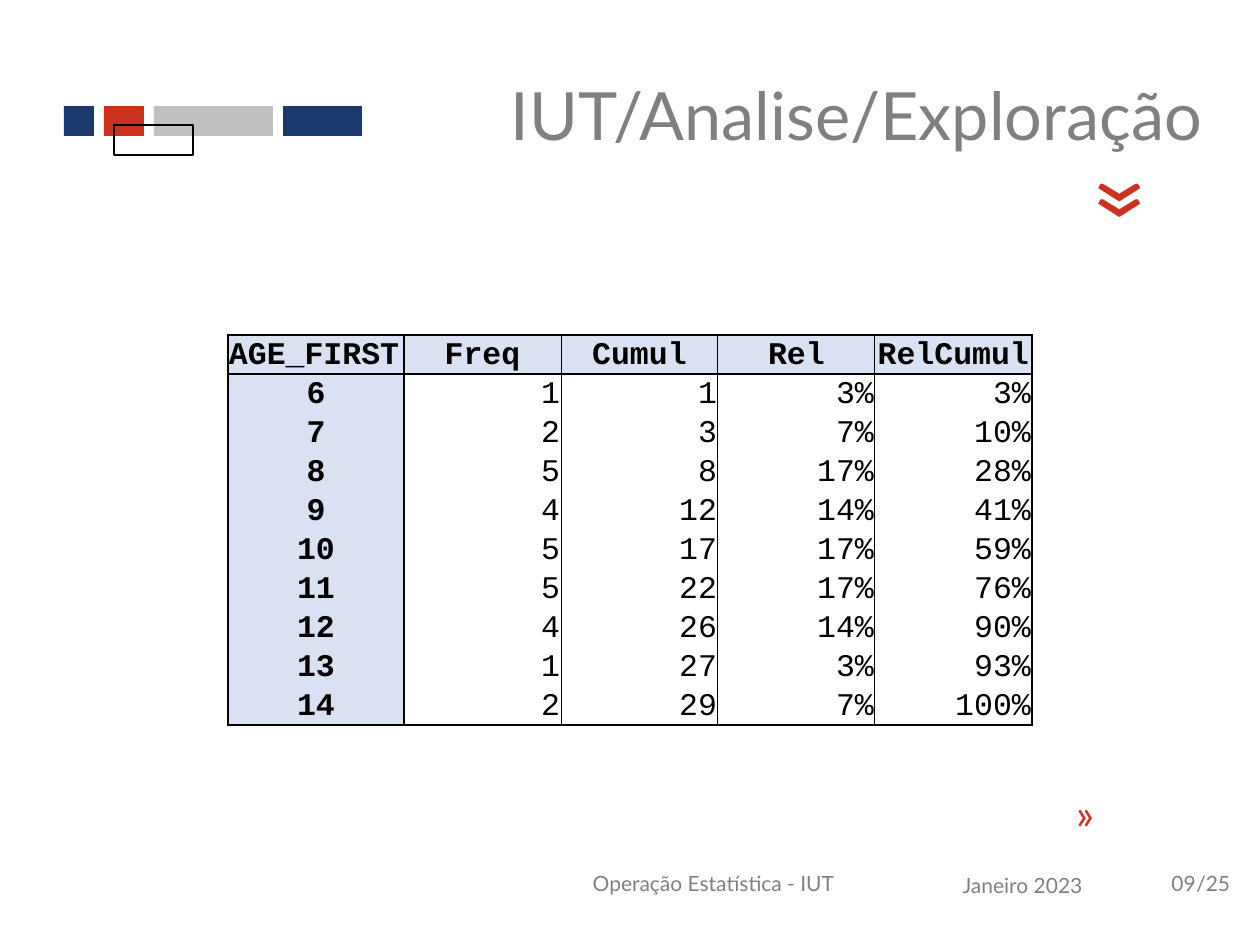
"""Build the frequency table slide of the IUT analysis."""
from lxml import etree
from pptx import Presentation
from pptx.dml.color import RGBColor
from pptx.enum.shapes import MSO_SHAPE
from pptx.enum.text import MSO_ANCHOR, PP_ALIGN
from pptx.oxml.ns import qn
from pptx.util import Pt

RECT = MSO_SHAPE.RECTANGLE
MIDDLE, BOTTOM = MSO_ANCHOR.MIDDLE, MSO_ANCHOR.BOTTOM
LEFT, CENTER, RIGHT = PP_ALIGN.LEFT, PP_ALIGN.CENTER, PP_ALIGN.RIGHT
SCALE = 914400 / 126
GREY, RED, NAVY, BLACK = "808080", "CC301F", "1A3A6E", "000000"


def px(*lengths):
    return [round(n * SCALE) for n in lengths]


def write(tf, text, size, color, align, font="Lato", bold=False):
    p = tf.paragraphs[0]
    p.alignment = align
    r = p.add_run()
    r.text = text
    r.font.name, r.font.size, r.font.bold = font, Pt(size), bold
    r.font.color.rgb = RGBColor.from_string(color)


prs = Presentation()
prs.slide_width, prs.slide_height = px(1260, 945)
slide = prs.slides.add_slide(prs.slide_layouts[5])

for x, y, w, color in [(64, 106, 30, NAVY), (104, 106, 40, RED),
                       (154, 106, 119, "C0C0C0"), (283, 106, 79, NAVY),
                       (114, 125, 79, None)]:
    sp = slide.shapes.add_shape(RECT, *px(x, y, w, 30))
    sp.shadow.inherit = False
    if color:
        sp.fill.solid()
        sp.fill.fore_color.rgb = RGBColor.from_string(color)
        sp.line.fill.background()
    else:
        sp.fill.background()
        sp.line.color.rgb = RGBColor.from_string(BLACK)
        sp.line.width = Pt(0.75)

title = slide.shapes.title
title.left, title.top, title.width, title.height = px(382, 55, 833, 117)
title.text_frame.vertical_anchor = MIDDLE
write(title.text_frame, "IUT/Analise/Exploração", 38, GREY, RIGHT)

for text, x, y, w, align in [("Operação Estatística - IUT", 520, 849, 387, CENTER),
                             ("Janeiro 2023", 907, 851, 231, CENTER),
                             ("09", 1159, 849, 55, LEFT),
                             ("/25", 1184, 849, 76, LEFT)]:
    tf = slide.shapes.add_textbox(*px(x, y, w, 69)).text_frame
    tf.word_wrap = True
    tf.vertical_anchor = MIDDLE
    write(tf, text, 12, GREY, align)

for x, y, w, h, size, rotation in [(1071, 130, 69, 139, 60, 270),
                                   (1053, 793, 64, 63, 24, 180)]:
    sp = slide.shapes.add_textbox(*px(x, y, w, h))
    sp.rotation = rotation
    tf = sp.text_frame
    tf.word_wrap = True
    tf.vertical_anchor = MIDDLE
    tf.margin_left = tf.margin_right = tf.margin_top = tf.margin_bottom = 0
    write(tf, "«", size, RED, CENTER)

rows = [
    ("AGE_FIRST", "Freq", "Cumul", "Rel", "RelCumul"),
    ("6", "1", "1", "3%", "3%"),
    ("7", "2", "3", "7%", "10%"),
    ("8", "5", "8", "17%", "28%"),
    ("9", "4", "12", "14%", "41%"),
    ("10", "5", "17", "17%", "59%"),
    ("11", "5", "22", "17%", "76%"),
    ("12", "4", "26", "14%", "90%"),
    ("13", "1", "27", "3%", "93%"),
    ("14", "2", "29", "7%", "100%"),
]
last_row, last_col = len(rows) - 1, len(rows[0]) - 1
table = slide.shapes.add_table(len(rows), len(rows[0]), *px(228, 335, 804, 390)).table
table.first_row = table.horz_banding = False
for c, column in enumerate(table.columns):
    column.width = px(157 if c else 176)[0]
for r, row in enumerate(rows):
    table.rows[r].height = px(39)[0]
    for c, text in enumerate(row):
        cell = table.cell(r, c)
        cell.vertical_anchor = BOTTOM
        cell.margin_left = cell.margin_right = cell.margin_top = px(1)[0]
        cell.margin_bottom = 0
        heading = r == 0 or c == 0
        if heading:
            cell.fill.solid()
            cell.fill.fore_color.rgb = RGBColor.from_string("D9E1F2")
            align = LEFT if r == c else CENTER
        else:
            cell.fill.background()
            align = RIGHT
        write(cell.text_frame, text, 18, BLACK, align, "Courier New", heading)
        borders = {
            "a:lnL": 1 if c < 2 else 0.5,
            "a:lnR": 1 if c in (0, last_col) else 0.5,
            "a:lnT": 1 if r < 2 else 0,
            "a:lnB": 1 if r in (0, last_row) else 0,
        }
        for i, (tag, width) in enumerate(borders.items()):
            ln = etree.Element(qn(tag), w=str(Pt(width)))
            if width:
                fill = etree.SubElement(ln, qn("a:solidFill"))
                etree.SubElement(fill, qn("a:srgbClr"), val=BLACK)
            else:
                etree.SubElement(ln, qn("a:noFill"))
            cell._tc.tcPr.insert(i, ln)

prs.save("out.pptx")
